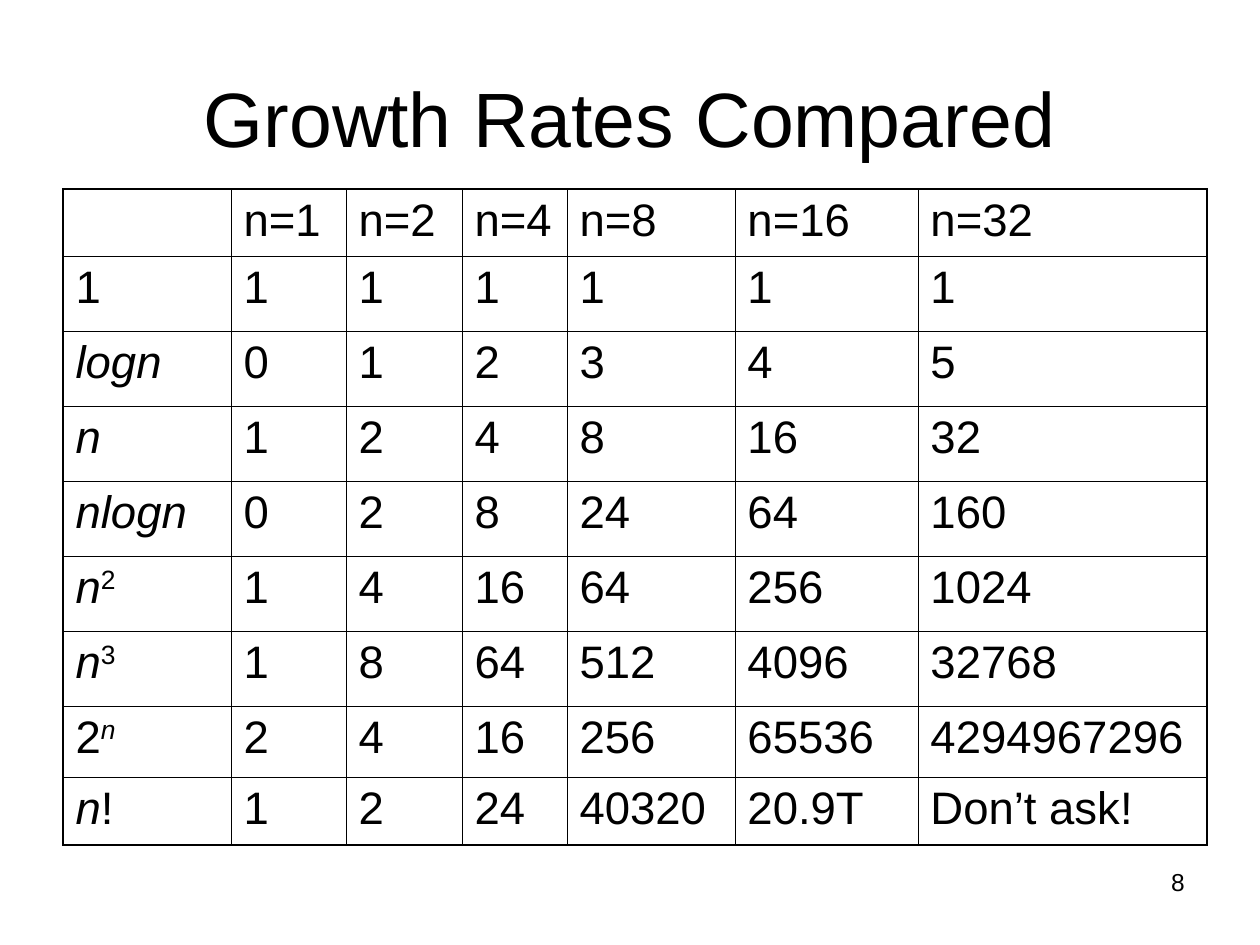
from dataclasses import dataclass

from lxml.etree import SubElement
from pptx import Presentation
from pptx.dml.color import RGBColor
from pptx.enum.text import MSO_ANCHOR, PP_ALIGN
from pptx.oxml.ns import qn
from pptx.util import Pt

PIXEL = 914400 / 126


def px(length):
    return round(length * PIXEL)


@dataclass(frozen=True)
class Theme:
    font: str = "Arial"
    ink: str = "000000"
    title_size: int = 44
    table_size: int = 26
    number_size: int = 14
    outer_line: float = 1.08
    inner_line: float = 0.45


class SlideBuilder:
    def __init__(self, slide, theme):
        self.slide = slide
        self.theme = theme

    def format_runs(self, paragraph, size):
        for run in paragraph.runs:
            run.font.name = self.theme.font
            run.font.size = Pt(size)
            run.font.color.rgb = RGBColor.from_string(self.theme.ink)

    def place(self, shape, left, top, width, height):
        shape.left, shape.top = px(left), px(top)
        shape.width, shape.height = px(width), px(height)

    def title(self, text, left, top, width, height):
        title = self.slide.shapes.title
        self.place(title, left, top, width, height)
        text_frame = title.text_frame
        text_frame.text = text
        text_frame.vertical_anchor = MSO_ANCHOR.MIDDLE
        paragraph = text_frame.paragraphs[0]
        paragraph.alignment = PP_ALIGN.CENTER
        self.format_runs(paragraph, self.theme.title_size)

    def page_number(self, text, left, top, width, height):
        box = self.slide.shapes.add_textbox(px(left), px(top), px(width), px(height))
        box.text_frame.word_wrap = True
        box.text_frame.text = text
        paragraph = box.text_frame.paragraphs[0]
        paragraph.alignment = PP_ALIGN.RIGHT
        self.format_runs(paragraph, self.theme.number_size)

    def border(self, cell, side, width):
        line = SubElement(cell._tc.get_or_add_tcPr(), qn(f"a:ln{side}"), w=str(Pt(width)))
        fill = SubElement(line, qn("a:solidFill"))
        SubElement(fill, qn("a:srgbClr"), val=self.theme.ink)

    def cell(self, cell, content, outer_sides):
        for side in "LRTB":
            outer = side in outer_sides
            self.border(cell, side, self.theme.outer_line if outer else self.theme.inner_line)
        cell.fill.background()
        paragraph = cell.text_frame.paragraphs[0]
        if isinstance(content, str):
            paragraph.text = content
        else:
            for text, italic, superscript in content:
                run = paragraph.add_run()
                run.text = text
                run.font.italic = italic
                if superscript:
                    run._r.get_or_add_rPr().set("baseline", "30000")
        self.format_runs(paragraph, self.theme.table_size)

    def table(self, rows, left, top, column_widths, row_heights):
        frame = self.slide.shapes.add_table(
            len(row_heights), len(column_widths), px(left), px(top),
            px(sum(column_widths)), px(sum(row_heights)))
        table = frame.table
        table.first_row = False
        table.horz_banding = False
        for column, width in zip(table.columns, column_widths):
            column.width = px(width)
        for row, height in zip(table.rows, row_heights):
            row.height = px(height)
        last_row, last_column = len(row_heights) - 1, len(column_widths) - 1
        for row_index, row in enumerate(rows):
            for column_index, content in enumerate(row):
                edges = {"L": column_index == 0, "R": column_index == last_column,
                         "T": row_index == 0, "B": row_index == last_row}
                outer_sides = [side for side, at_edge in edges.items() if at_edge]
                self.cell(table.cell(row_index, column_index), content, outer_sides)


def variable(name):
    return (name, True, False)


GROWTH_RATES = [
    ["", "n=1", "n=2", "n=4", "n=8", "n=16", "n=32"],
    ["1", "1", "1", "1", "1", "1", "1"],
    [[variable("logn")], "0", "1", "2", "3", "4", "5"],
    [[variable("n")], "1", "2", "4", "8", "16", "32"],
    [[variable("nlogn")], "0", "2", "8", "24", "64", "160"],
    [[variable("n"), ("2", False, True)], "1", "4", "16", "64", "256", "1024"],
    [[variable("n"), ("3", False, True)], "1", "8", "64", "512", "4096", "32768"],
    [[("2", False, False), ("n", True, True)], "2", "4", "16", "256", "65536", "4294967296"],
    [[variable("n"), ("!", False, False)], "1", "2", "24", "40320", "20.9T", "Don’t ask!"],
]
COLUMN_WIDTHS = [168, 115, 116, 105, 168, 183, 289]
ROW_HEIGHTS = [67] + [75] * 6 + [71, 68]


def main():
    presentation = Presentation()
    presentation.slide_width, presentation.slide_height = px(1260), px(945)
    slide = presentation.slides.add_slide(presentation.slide_layouts[5])
    builder = SlideBuilder(slide, Theme())
    builder.page_number("8", 903, 861, 294, 66)
    builder.title("Growth Rates Compared", 63, 38, 1134, 158)
    builder.table(GROWTH_RATES, 63, 189, COLUMN_WIDTHS, ROW_HEIGHTS)
    presentation.save("out.pptx")


if __name__ == "__main__":
    main()
